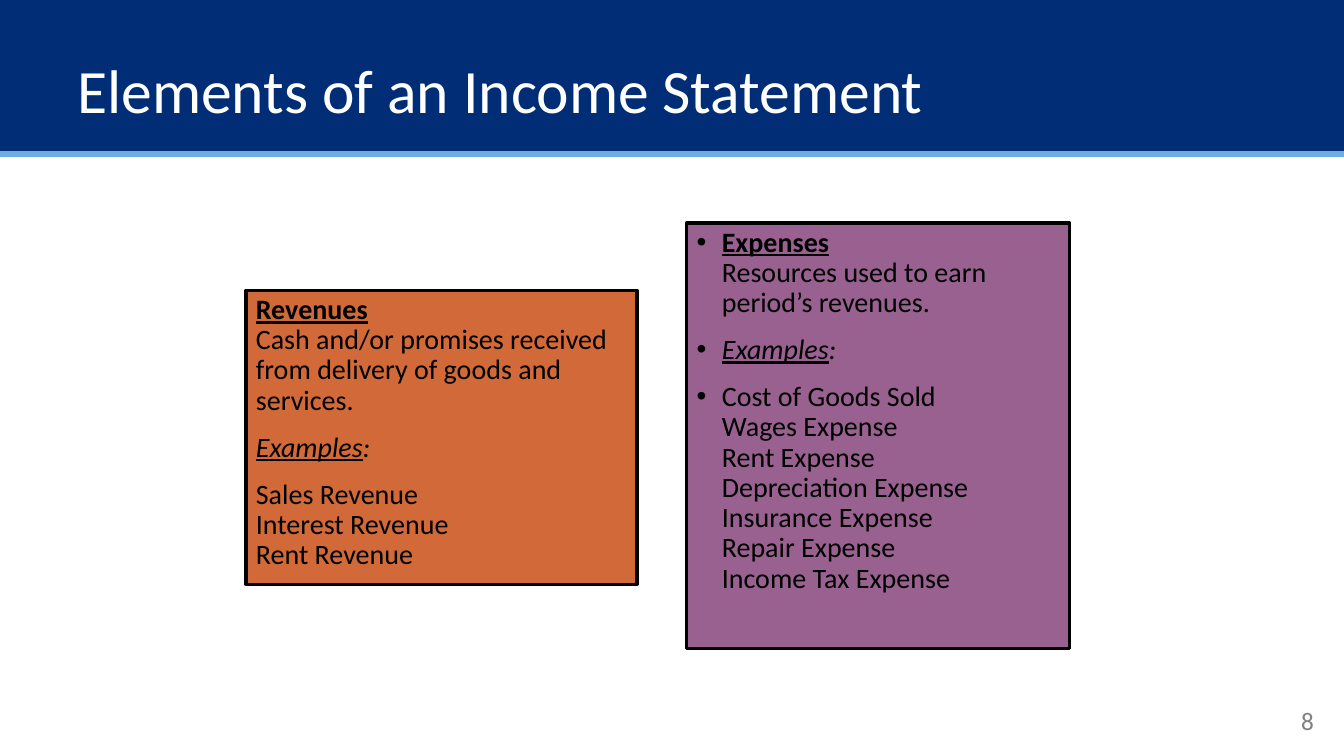
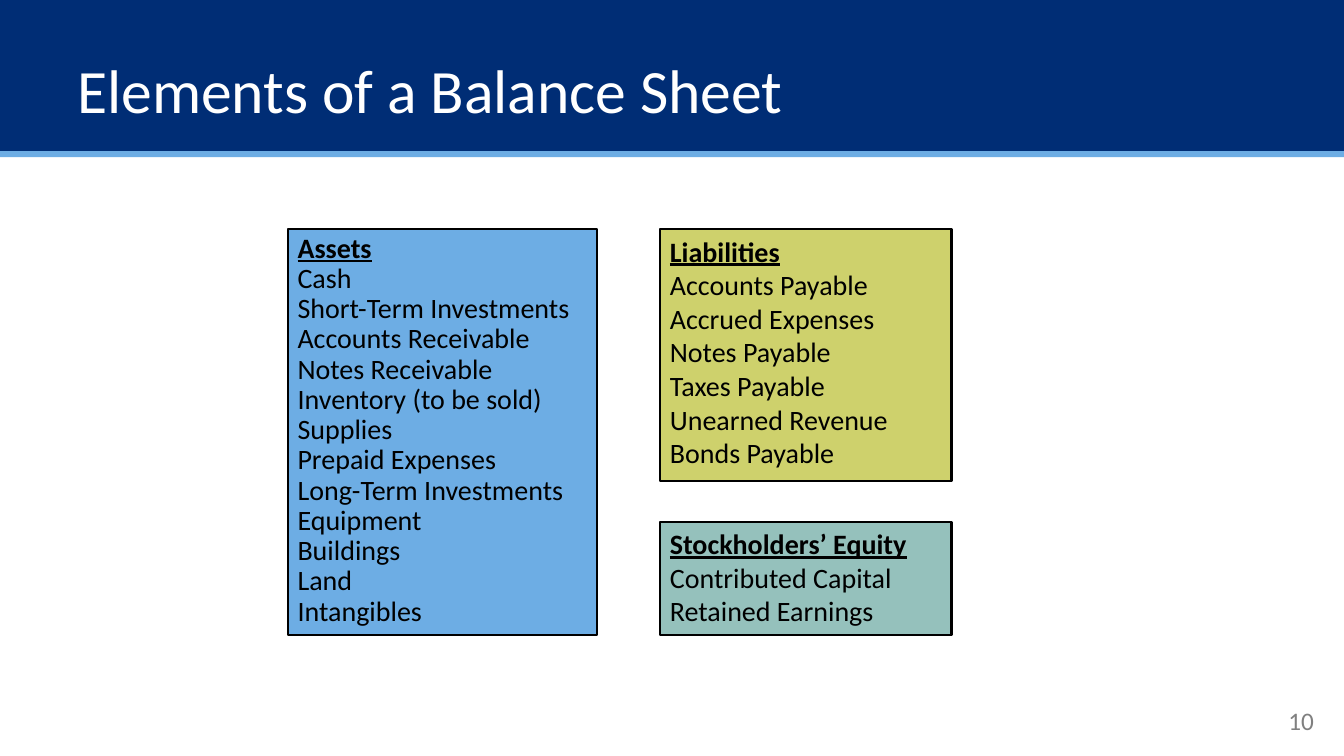
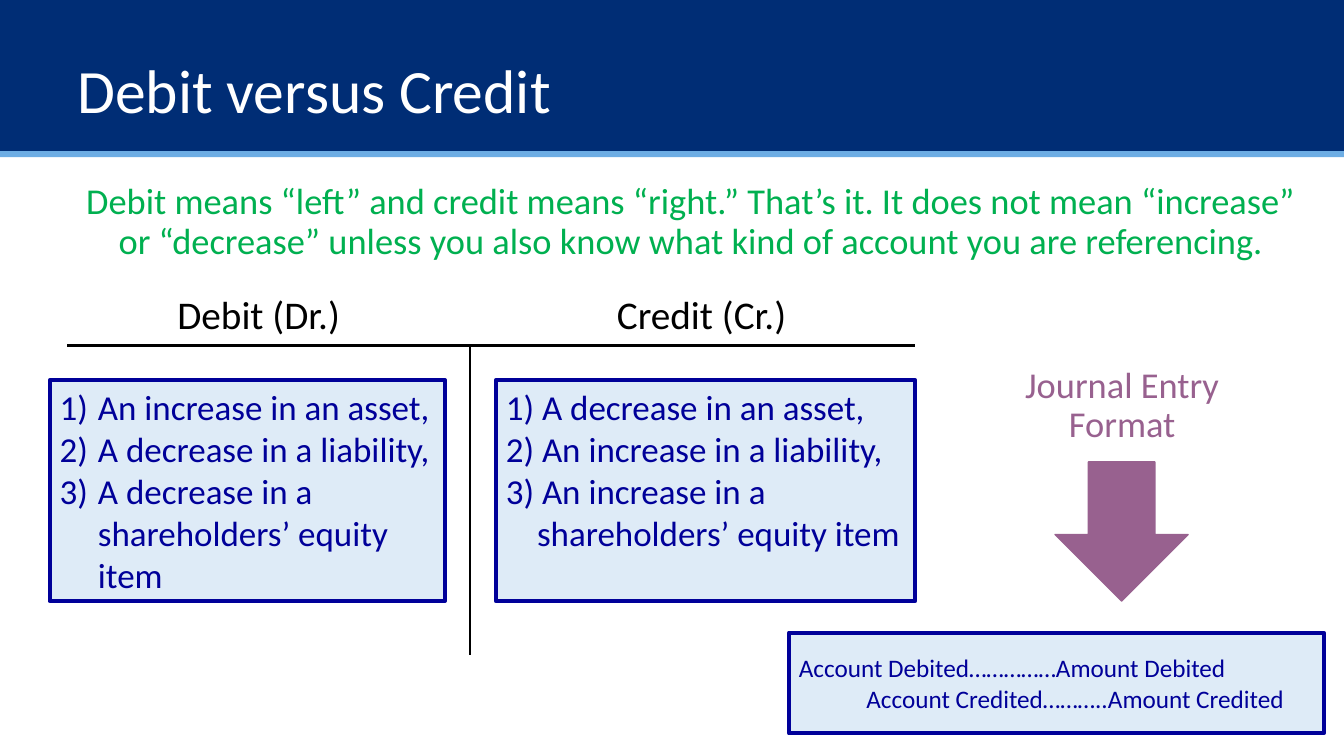
from lxml.etree import SubElement
from pptx import Presentation
from pptx.dml.color import RGBColor
from pptx.enum.shapes import MSO_CONNECTOR, MSO_SHAPE
from pptx.enum.text import MSO_ANCHOR, PP_ALIGN
from pptx.oxml.ns import qn
from pptx.util import Inches, Pt

NAVY, SKY, PLUM, INK, PALE = "002D75", "6DADE4", "98618F", "000099", "DEEBF7"
BLACK, WHITE, GREY, GREEN = "000000", "FFFFFF", "808080", "00B050"
STYLES = {
    "": {},
    "heading": {"bold": True, "underline": True},
    "label": {"italic": True, "underline": True},
    "italic": {"italic": True},
}

prs = Presentation()
prs.slide_width, prs.slide_height = Inches(13.333), Inches(7.5)
COL, ROW = prs.slide_width / 100, prs.slide_height / 100


def rgb(value):
    return RGBColor.from_string(value)


def box(s, cell, paras=(), kind=MSO_SHAPE.RECTANGLE, fill=None, line=None, weight=1.5,
        anchor=MSO_ANCHOR.TOP, size=20, color=BLACK, bullet=None, left=0, hang=0, **fmt):
    """Place a shape (a text box if it has no fill) at (column, row, columns, rows).

    A paragraph is a list of (text, style) runs, or a (left, hang, runs) tuple
    with its own indents in inches. Line ends in a run become line breaks.
    """
    x, y, w, h = (int(n * unit) for n, unit in zip(cell, (COL, ROW, COL, ROW)))
    if fill:
        sp = s.shapes.add_shape(kind, x, y, w, h)
        sp.shadow.inherit = False
        sp.fill.solid()
        sp.fill.fore_color.rgb = rgb(fill)
        if line:
            sp.line.color.rgb = rgb(line)
            sp.line.width = Pt(weight)
        else:
            sp.line.fill.background()
    else:
        sp = s.shapes.add_textbox(x, y, w, h)
    tf = sp.text_frame
    tf.word_wrap, tf.vertical_anchor = True, anchor
    for i, para in enumerate(paras):
        indent, first, runs = para if isinstance(para, tuple) else (left, hang, para)
        p = tf.paragraphs[0] if i == 0 else tf.add_paragraph()
        for key, value in {"alignment": PP_ALIGN.LEFT, **fmt}.items():
            if i or key != "space_before":
                setattr(p, key, value)
        pPr = p._p.get_or_add_pPr()
        pPr.set("marL", str(Inches(indent)))
        pPr.set("indent", str(Inches(first)))
        if bullet == "number":
            SubElement(pPr, qn("a:buAutoNum"), type="arabicParenR")
        elif bullet:
            SubElement(pPr, qn("a:buFont"), typeface="Arial")
            SubElement(pPr, qn("a:buChar"), char=bullet)
        for text, style in runs:
            for j, part in enumerate(text.split("\n")):
                if j:
                    p.add_line_break()
                if part:
                    r = p.add_run()
                    r.text = part
                    look = {"name": "Calibri", "size": Pt(size), **STYLES[style]}
                    for key, value in look.items():
                        setattr(r.font, key, value)
                    r.font.color.rgb = rgb(color)
    return sp


# Shared layout: title place and the two bands behind it
layout = prs.slide_layouts[5]
title = layout.placeholders[0]
title.left, title.top = int(5 * COL), int(7.3 * ROW)
title.width, title.height = int(67.5 * COL), int(8.3 * ROW)

slides = []
for text, number in (("Elements of an Income Statement", "8"),
                     ("Elements of a Balance Sheet", "10"),
                     ("Debit versus Credit", None)):
    s = prs.slides.add_slide(layout)
    s.shapes.title.text = text
    tf = s.shapes.title.text_frame
    tf.vertical_anchor = MSO_ANCHOR.TOP
    p = tf.paragraphs[0]
    p.alignment, p.line_spacing = PP_ALIGN.LEFT, 0.9
    for key, value in {"name": "Calibri", "size": Pt(44)}.items():
        setattr(p.runs[0].font, key, value)
    p.runs[0].font.color.rgb = rgb(WHITE)
    if number:
        box(s, (76, 92.7, 22.5, 5.3), [[(number, "")]], size=18, color=GREY,
            alignment=PP_ALIGN.RIGHT)
    slides.append(s)
income, balance, entries = slides

tree = layout.element.cSld.spTree
for i, (cell, fill) in enumerate((((0, 0, 100, 20), NAVY), ((0, 20, 100, 0.8), SKY))):
    tree.insert(2 + i, box(income, cell, fill=fill)._element)

# Income statement
examples = [("Examples", "label"), (":", "italic")]
framed = {"line": BLACK, "weight": 2.25, "line_spacing": 0.9, "space_before": Pt(12)}
box(income, (18.3, 38.4, 29.1, 38.9), [
    [("Revenues\n", "heading"),
     ("Cash and/or promises received from delivery of goods and services.", "")],
    examples,
    [("Sales Revenue\nInterest Revenue\nRent Revenue", "")],
], fill="D16939", **framed)
box(income, (51.1, 29.5, 28.5, 56.3), [
    [("Expenses\n", "heading"), ("Resources used to earn period’s revenues.", "")],
    examples,
    [("Cost of Goods Sold\nWages Expense\nRent Expense\nDepreciation Expense\n"
      "Insurance Expense\nRepair Expense\nIncome Tax Expense", "")],
], fill=PLUM, bullet="•", left=0.25, hang=-0.25, **framed)

# Balance sheet
for cell, fill, spacing, heading, accounts in (
    ((21.4, 30.3, 23, 53.7), SKY, 0.9, "Assets",
     "Cash\nShort-Term Investments\nAccounts Receivable\nNotes Receivable\n"
     "Inventory (to be sold)\nSupplies\nPrepaid Expenses\nLong-Term Investments\n"
     "Equipment\nBuildings\nLand\nIntangibles"),
    ((49.1, 30.3, 21.7, 33.3), "CED16C", 1.0, "Liabilities",
     "Accounts Payable\nAccrued Expenses\nNotes Payable\nTaxes Payable\n"
     "Unearned Revenue\nBonds Payable"),
    ((49.1, 69, 21.7, 15), "95C1BC", 1.0, "Stockholders’ Equity",
     "Contributed Capital\nRetained Earnings"),
):
    box(balance, cell, [[(heading + "\n", "heading"), (accounts, "")]],
        fill=fill, line=BLACK, line_spacing=spacing)

# Debit and credit: captions, T-account, journal entry
for cell, text, size, color in (
    ((5, 23.6, 92.9, 11.7),
     "Debit means “left” and credit means “right.” That’s it. It does not mean “increase” "
     "or “decrease” unless you also know what kind of account you are referencing.",
     26, GREEN),
    ((4.2, 38.5, 30.1, 7.6), "Debit (Dr.)", 28, BLACK),
    ((35.6, 38.5, 33.2, 7.6), "Credit (Cr.)", 28, BLACK),
    ((71.6, 47.9, 23.8, 11.7), "Journal Entry Format", 26, PLUM),
):
    box(entries, cell, [[(text, "")]], size=size, color=color,
        alignment=PP_ALIGN.CENTER, line_spacing=0.9)

for x1, y1, x2, y2 in ((5, 45.7, 68.1, 45.7), (35, 45.7, 35, 86.7)):
    rule = entries.shapes.add_connector(MSO_CONNECTOR.STRAIGHT, int(x1 * COL), int(y1 * ROW),
                                        int(x2 * COL), int(y2 * ROW))
    rule.line.color.rgb = rgb(BLACK)
    rule.line.width = Pt(1.5)
    SubElement(rule._element.spPr, qn("a:effectLst"))

panel = {"fill": PALE, "line": INK, "weight": 3, "color": INK}
rounded = MSO_SHAPE.ROUNDED_RECTANGLE
debit = box(entries, (3.7, 50.3, 29.4, 29.2), [
    [("An increase in an asset,", "")],
    [("A decrease in a liability,", "")],
    [("A decrease in a shareholders’ equity item", "")],
], kind=rounded, size=25, bullet="number", left=0.38, hang=-0.38, **panel)
credit = box(entries, (36.9, 50.3, 31.2, 29.2), [
    [("1) A decrease in an asset,", "")],
    [("2) An increase in a liability,", "")],
    (0.31, -0.31, [("3) An increase in a shareholders’ equity item", "")]),
], kind=rounded, size=25, **panel)
for sp in (debit, credit):
    sp.adjustments[0] = 0

box(entries, (58.7, 83.7, 39.8, 13.3), [
    [("Account Debited……………Amount Debited", "")],
    (0.67, 0, [("Account Credited………..Amount Credited", "")]),
], size=18, anchor=MSO_ANCHOR.MIDDLE, **panel)
box(entries, (78.5, 61.1, 9.9, 18.4), kind=MSO_SHAPE.DOWN_ARROW, fill=PLUM, line=PLUM, weight=1)

prs.save("out.pptx")
